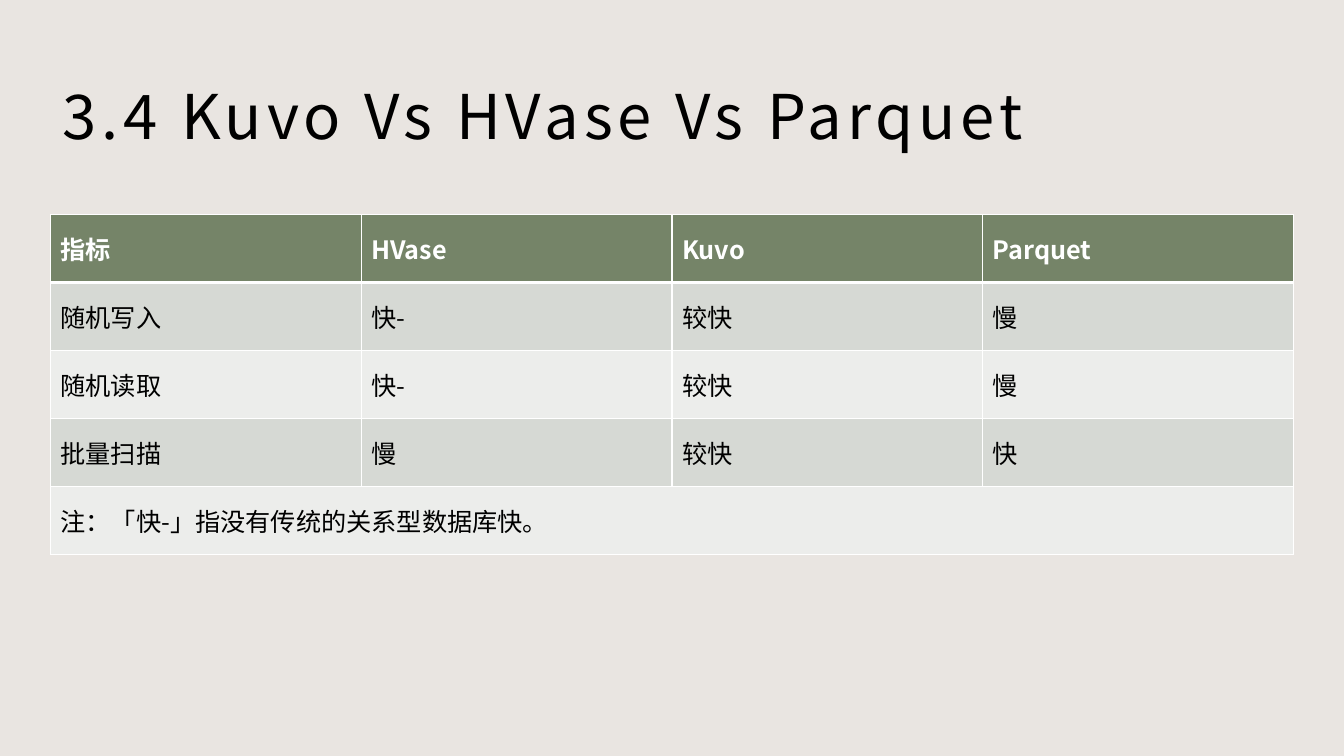
from dataclasses import dataclass

import lxml.etree
import pptx
import pptx.dml.color
import pptx.enum.text
import pptx.oxml.ns
import pptx.util

Pt = pptx.util.Pt
FONT = "Noto Sans CJK SC"
COLOURS = {
    "background": "E9E5E1",
    "header": "758468",
    "dark band": "D6D9D4",
    "light band": "ECEDEB",
    "white": "FFFFFF",
    "black": "000000",
}
COLUMNS = 4
COLUMN_WIDTH, ROW_HEIGHT = 222, 48.57
TABLE_LEFT, TABLE_TOP = 36, 153.2


@dataclass(frozen=True)
class TableRow:
    """One table row; a single text spans the whole width."""

    texts: tuple[str, ...]
    fill: str
    text_colour: str = "black"
    bold: bool = False
    top_line: float = 1
    bottom_line: float = 1


ROWS = (
    TableRow(("指标", "HVase", "Kuvo", "Parquet"), "header", "white", True, bottom_line=3),
    TableRow(("随机写入", "快-", "较快", "慢"), "dark band", top_line=3),
    TableRow(("随机读取", "快-", "较快", "慢"), "light band"),
    TableRow(("批量扫描", "慢", "较快", "快"), "dark band"),
    TableRow(("注：「快-」指没有传统的关系型数据库快。",), "light band"),
)


def rgb(name: str) -> pptx.dml.color.RGBColor:
    """Look up a named colour."""
    return pptx.dml.color.RGBColor.from_string(COLOURS[name])


def write_text(frame, text: str, *, size: float, colour: str = "black",
               bold: bool = False, spacing: float = 0) -> None:
    """Write one formatted line into a text frame."""
    para = frame.paragraphs[0]
    span = para.add_run()
    span.text = text
    span.font.size = Pt(size)
    span.font.bold = bold
    span.font.color.rgb = rgb(colour)
    span.font.name = FONT
    properties = span._r.get_or_add_rPr()
    east_asian = lxml.etree.SubElement(properties, pptx.oxml.ns.qn("a:ea"))
    east_asian.set("typeface", FONT)
    if spacing:
        properties.set("spc", str(round(spacing * 100)))


def draw_borders(cell, row: TableRow) -> None:
    """Draw white lines on all four edges of a cell."""
    properties = cell._tc.get_or_add_tcPr()
    widths = {"L": 1, "R": 1, "T": row.top_line, "B": row.bottom_line}
    for edge, width in widths.items():
        line = lxml.etree.SubElement(
            properties, pptx.oxml.ns.qn(f"a:ln{edge}"), w=str(int(Pt(width))))
        fill = lxml.etree.SubElement(line, pptx.oxml.ns.qn("a:solidFill"))
        lxml.etree.SubElement(
            fill, pptx.oxml.ns.qn("a:srgbClr"), val=COLOURS["white"])


def add_title(page, text: str) -> None:
    """Add the slide title."""
    box = page.shapes.add_textbox(Pt(36), Pt(28.8), Pt(858), Pt(104.4))
    frame = box.text_frame
    frame.word_wrap = True
    frame.vertical_anchor = pptx.enum.text.MSO_ANCHOR.MIDDLE
    frame.margin_left = frame.margin_right = frame.margin_top = Pt(8.64)
    frame.margin_bottom = Pt(7.2)
    write_text(frame, text, size=44, spacing=3.5)


def add_comparison(page, rows: tuple[TableRow, ...]) -> None:
    """Add the comparison table."""
    table = page.shapes.add_table(
        len(rows), COLUMNS, Pt(TABLE_LEFT), Pt(TABLE_TOP),
        Pt(COLUMNS * COLUMN_WIDTH), Pt(len(rows) * ROW_HEIGHT)).table
    for column in table.columns:
        column.width = Pt(COLUMN_WIDTH)
    for index, row in enumerate(rows):
        table.rows[index].height = Pt(ROW_HEIGHT)
        for position in range(COLUMNS):
            cell = table.cell(index, position)
            draw_borders(cell, row)
            cell.fill.solid()
            cell.fill.fore_color.rgb = rgb(row.fill)
            cell.vertical_anchor = pptx.enum.text.MSO_ANCHOR.MIDDLE
        if len(row.texts) == 1:
            table.cell(index, 0).merge(table.cell(index, COLUMNS - 1))
        for position, text in enumerate(row.texts):
            write_text(table.cell(index, position).text_frame, text,
                       size=18, colour=row.text_colour, bold=row.bold)


def main() -> None:
    """Build and save the deck."""
    deck = pptx.Presentation()
    deck.slide_width, deck.slide_height = Pt(960), Pt(540)
    page = deck.slides.add_slide(deck.slide_layouts[6])
    page.background.fill.solid()
    page.background.fill.fore_color.rgb = rgb("background")
    add_title(page, "3.4 Kuvo Vs HVase Vs Parquet")
    add_comparison(page, ROWS)
    deck.save("out.pptx")


main()
